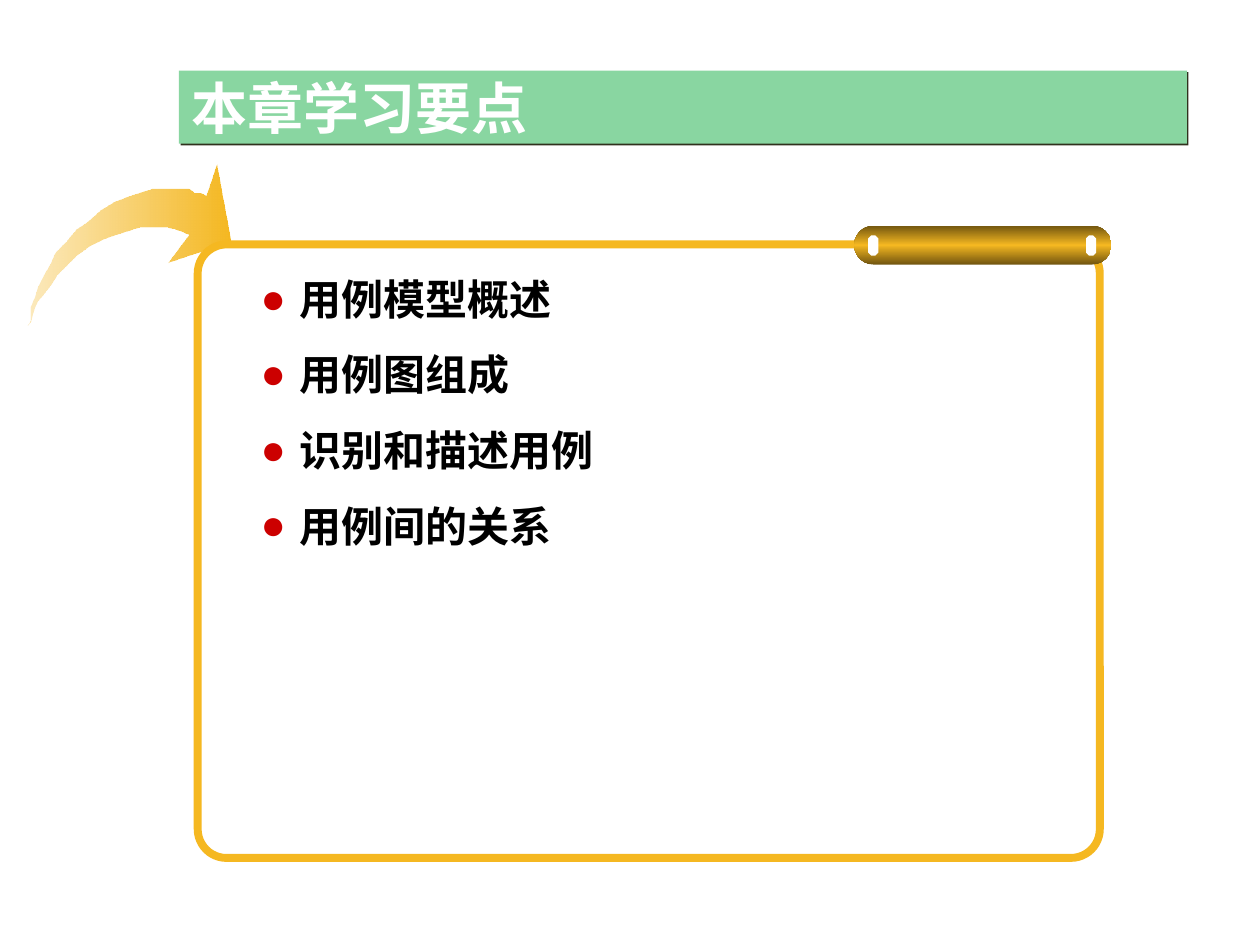
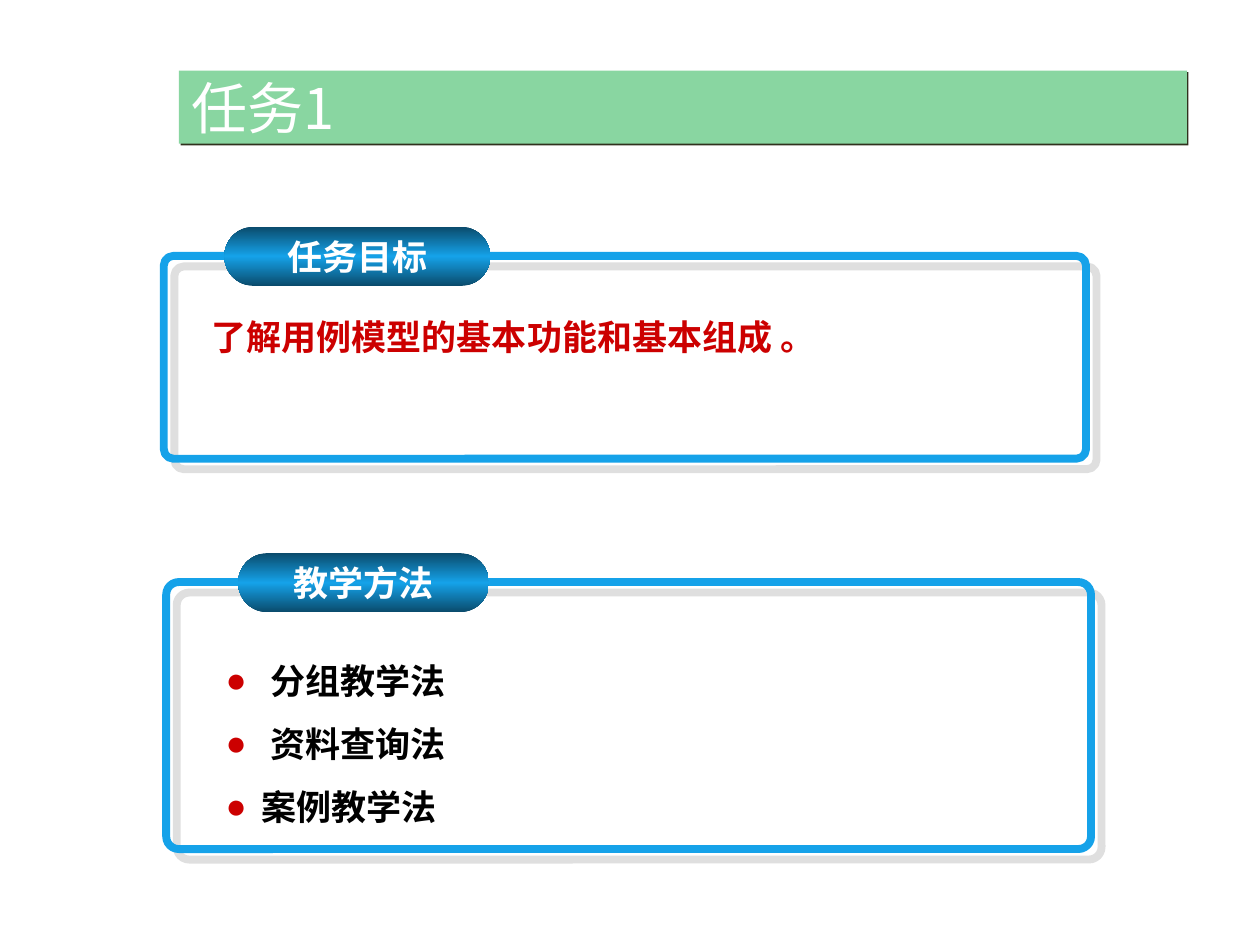
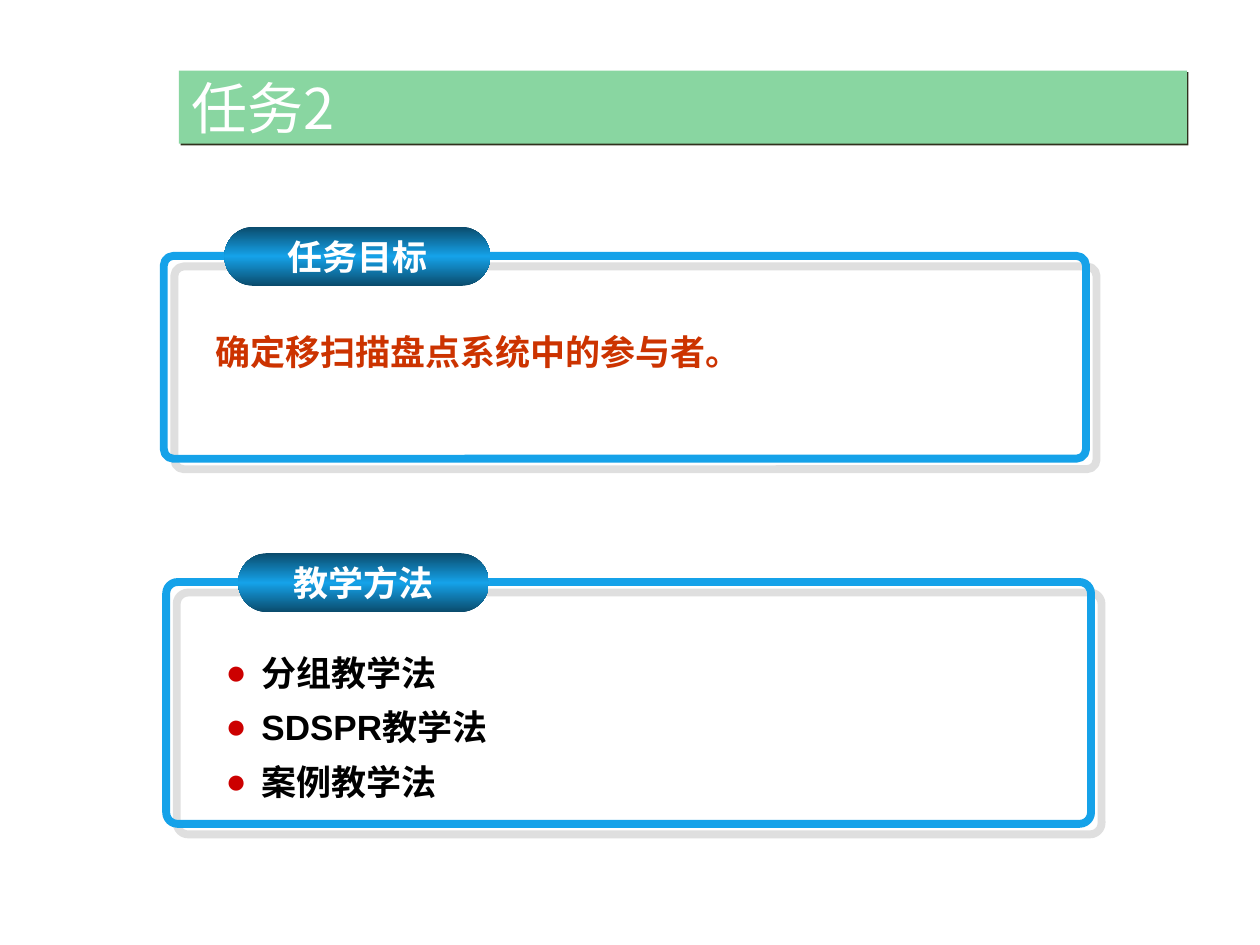
from lxml.etree import SubElement as Sub
from pptx import Presentation as Deck
from pptx.dml.color import RGBColor as Rgb
from pptx.enum.shapes import MSO_SHAPE as Kind
from pptx.enum.text import MSO_ANCHOR as Anchor, MSO_AUTO_SIZE as Fit, PP_ALIGN as Align
from pptx.oxml.ns import qn
from pptx.util import Pt

HUES = {
    "mint": "89D6A1", "moss": "30311D", "white": "FFFFFF", "black": "000000",
    "gold": "F5B821", "sand": "F6BE35", "bronze": "71550F", "blue": "15A2E9",
    "navy": "0A4B6C", "grey": "C0C0C0", "red": "CC0000", "rust": "CC3300",
}
BASE, HEAD, TAG = "Arial", "Noto Sans CJK JP", "Noto Sans CJK SC"
GOLD_BAR = [(0, "bronze", 100), (50, "gold", 100), (100, "bronze", 100)]
BLUE_BAR = [(0, "navy", 100), (50, "blue", 100), (100, "navy", 100)]
FADE = [(0, "sand", 32), (100, "gold", 100)]
ARROW = [
    (16.5, 186), (18, 183.5), (20, 176.5), (22.5, 172), (26, 167), (29.5, 162),
    (33, 157), (39, 151), (44.5, 146), (51, 141), (59, 137), (67, 134),
    (74, 132), (80.5, 130.5), (86.5, 129.5), (91.5, 129.5), (96.5, 130.5),
    (100, 131), (103, 132.5), (107.5, 134), (96.5, 150.5), (132.5, 138),
    (124, 94.5), (117.5, 112.5), (114, 110), (111, 109.5), (107.5, 108.5),
    (103, 108), (98, 107.5), (93, 107.5), (87, 108), (80, 109.5),
    (73.5, 111.5), (66, 115), (58.5, 119.5), (51, 125.5), (44, 131),
    (37.5, 137.5), (32.5, 144), (29, 151), (25, 157.5), (22.5, 164),
    (20, 170), (18.5, 175), (18, 179.5), (17.5, 183),
]


def tint(name):
    return Rgb.from_string(HUES[name])


def place(item, box):
    item.left, item.top, item.width, item.height = map(Pt, box)


def paint(item, hue):
    item.fill.solid()
    item.fill.fore_color.rgb = tint(hue)


def blend(item, stops, angle):
    item.fill.gradient()
    item.fill.gradient_angle = angle
    track = item._element.spPr.find(".//" + qn("a:gsLst"))
    for old in list(track):
        track.remove(old)
    for pos, hue, alpha in stops:
        stop = Sub(track, qn("a:gs"), pos=str(pos * 1000))
        color = Sub(stop, qn("a:srgbClr"), val=HUES[hue])
        if alpha < 100:
            Sub(color, qn("a:alpha"), val=str(alpha * 1000))


def shade(item, hue, dist, alpha=100):
    item.shadow.inherit = False
    effect = item._element.spPr.find(qn("a:effectLst"))
    outer = Sub(effect, qn("a:outerShdw"), blurRad="0", dist=str(Pt(dist)),
                dir="2700000", algn="ctr", rotWithShape="0")
    color = Sub(outer, qn("a:srgbClr"), val=HUES[hue])
    Sub(color, qn("a:alpha"), val=str(alpha * 1000))


def write(para, text, size, hue, face=None, bold=True):
    run = para.add_run()
    run.text = text
    font = run.font
    font.size, font.bold, font.name = Pt(size), bold, face or BASE
    font.color.rgb = tint(hue)
    if face:
        Sub(run._r.get_or_add_rPr(), qn("a:ea"), typeface=face)


def shape(slide, kind, box, adjust=None):
    item = slide.shapes.add_shape(kind, *map(Pt, box))
    item.shadow.inherit = False
    item.line.fill.background()
    if adjust is not None:
        item.adjustments[0] = adjust
    return item


def frame(slide, box, hue):
    item = shape(slide, Kind.ROUNDED_RECTANGLE, box, 0.047)
    item.fill.background()
    item.line.color.rgb = tint(hue)
    item.line.width = Pt(4.5)
    return item


def pill(slide, box, stops):
    item = shape(slide, Kind.ROUNDED_RECTANGLE, box, 0.5)
    blend(item, stops, 90)
    return item


def start(deck, text, bold=False):
    slide = deck.slides.add_slide(deck.slide_layouts[1])
    title = slide.shapes.title
    place(title, (102.2, 40.3, 576, 41.8))
    paint(title, "mint")
    shade(title, "moss", 1.4)
    area = title.text_frame
    area.auto_size = Fit.NONE
    area.vertical_anchor = Anchor.MIDDLE
    para = area.paragraphs[0]
    para.alignment = Align.LEFT
    write(para, text, 32, "white", HEAD, bold)
    return slide


def points(slide, box, rows, size, space):
    body = slide.placeholders[1]
    place(body, box)
    area = body.text_frame
    area.auto_size = Fit.NONE
    for i, (text, indent) in enumerate(rows):
        para = area.add_paragraph() if i else area.paragraphs[0]
        para.line_spacing = space
        para.space_before = Pt(0)
        props = para._p.get_or_add_pPr()
        props.set("marL", str(Pt(indent)))
        props.set("indent", str(-Pt(indent)))
        Sub(Sub(props, qn("a:buClr")), qn("a:srgbClr"), val=HUES["red"])
        Sub(props, qn("a:buFont"), typeface=BASE)
        Sub(props, qn("a:buChar"), char="●")
        write(para, text, size, "black")


def note(slide, box, text, hue):
    area = slide.shapes.add_textbox(*map(Pt, box)).text_frame
    area.word_wrap = True
    para = area.paragraphs[0]
    para.line_spacing = 1.5
    write(para, text, 20, hue)


def panel(slide, box, tag, text):
    shade(frame(slide, box, "blue"), "grey", 8.5, 50)
    area = pill(slide, tag, BLUE_BAR).text_frame
    area.word_wrap = False
    area.vertical_anchor = Anchor.MIDDLE
    para = area.paragraphs[0]
    para.alignment = Align.CENTER
    write(para, text, 20, "white", TAG)


def arrow(slide):
    path = slide.shapes.build_freeform(*ARROW[0], scale=Pt(1))
    path.add_line_segments(ARROW[1:], close=True)
    item = path.convert_to_shape()
    item.shadow.inherit = False
    item.line.fill.background()
    blend(item, FADE, 0)


def outline(deck):
    slide = start(deck, "本章学习要点", True)
    arrow(slide)
    frame(slide, (113, 139.7, 515.5, 350.6), "gold")
    pill(slide, (488.2, 128.9, 146.9, 22.3), GOLD_BAR)
    for left in (496.1, 620.6):
        paint(shape(slide, Kind.OCTAGON, (left, 134.6, 5.8, 11.5), 0.293), "white")
    names = ["用例模型概述", "用例图组成", "识别和描述用例", "用例间的关系"]
    points(slide, (141.8, 138.2, 420.5, 316.8), [(name, 22) for name in names], 24, 1.5)


def task(deck, title, goal, spot, hue, rows, space, tall):
    slide = start(deck, title)
    panel(slide, (93.6, 146.2, 527, 115.9), (128.2, 129.6, 151.9, 33.8), "任务目标")
    note(slide, (*spot, 486.7, 43.2), goal, hue)
    panel(slide, (95, 332.6, 528.5, tall), (136.1, 316.1, 143.3, 33.8), "教学方法")
    points(slide, (121.7, 361.4, 499.7, tall - 37.4), rows, 20, space)


def main():
    deck = Deck()
    deck.slide_width, deck.slide_height = Pt(720), Pt(540)
    outline(deck)
    task(deck, "任务1", "了解用例模型的基本功能和基本组成 。", (113.8, 164.9), "red",
         [("分组教学法", 25.5), ("资料查询法", 25.5), ("案例教学法", 20.5)], 1.5, 152.6)
    task(deck, "任务2", "确定移扫描盘点系统中的参与者。", (115.9, 173.5), "rust",
         [("分组教学法", 20.5), ("SDSPR教学法", 20.5), ("案例教学法", 20.5)], 1.3, 138.2)
    deck.save("out.pptx")


if __name__ == "__main__":
    main()
